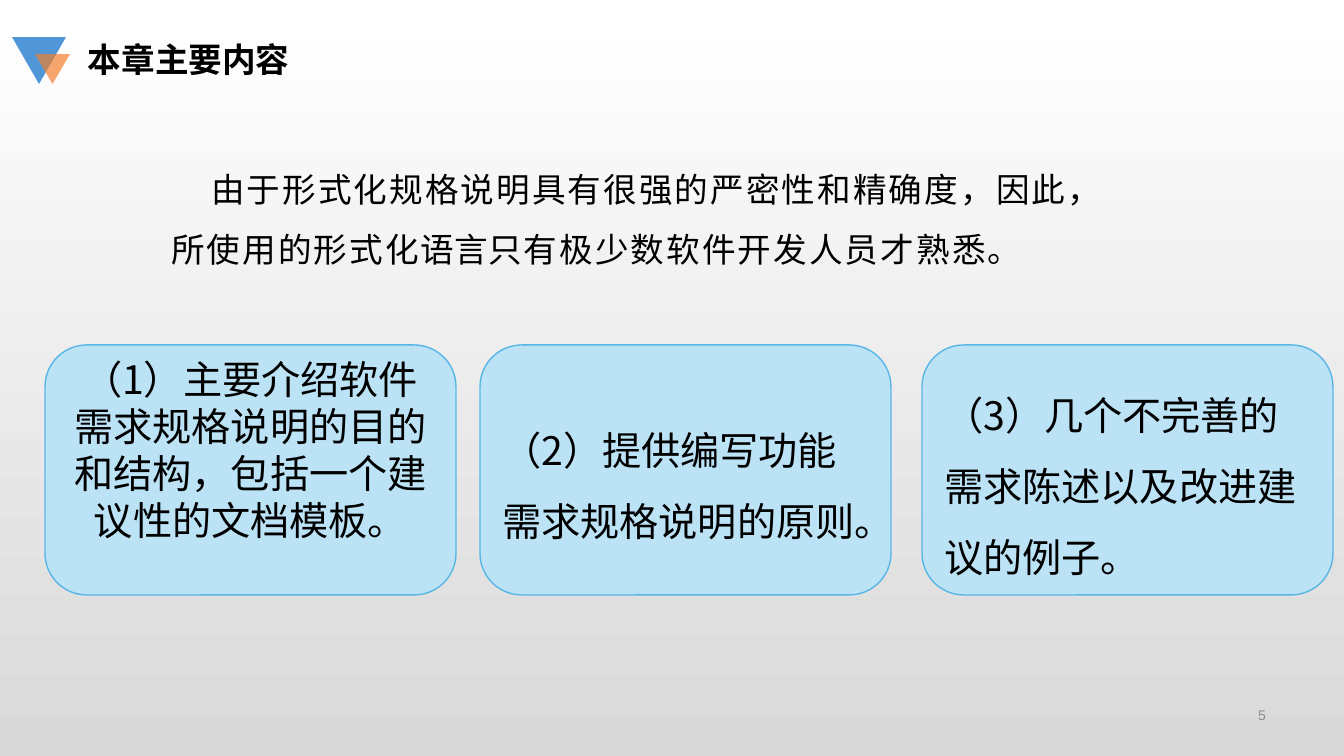
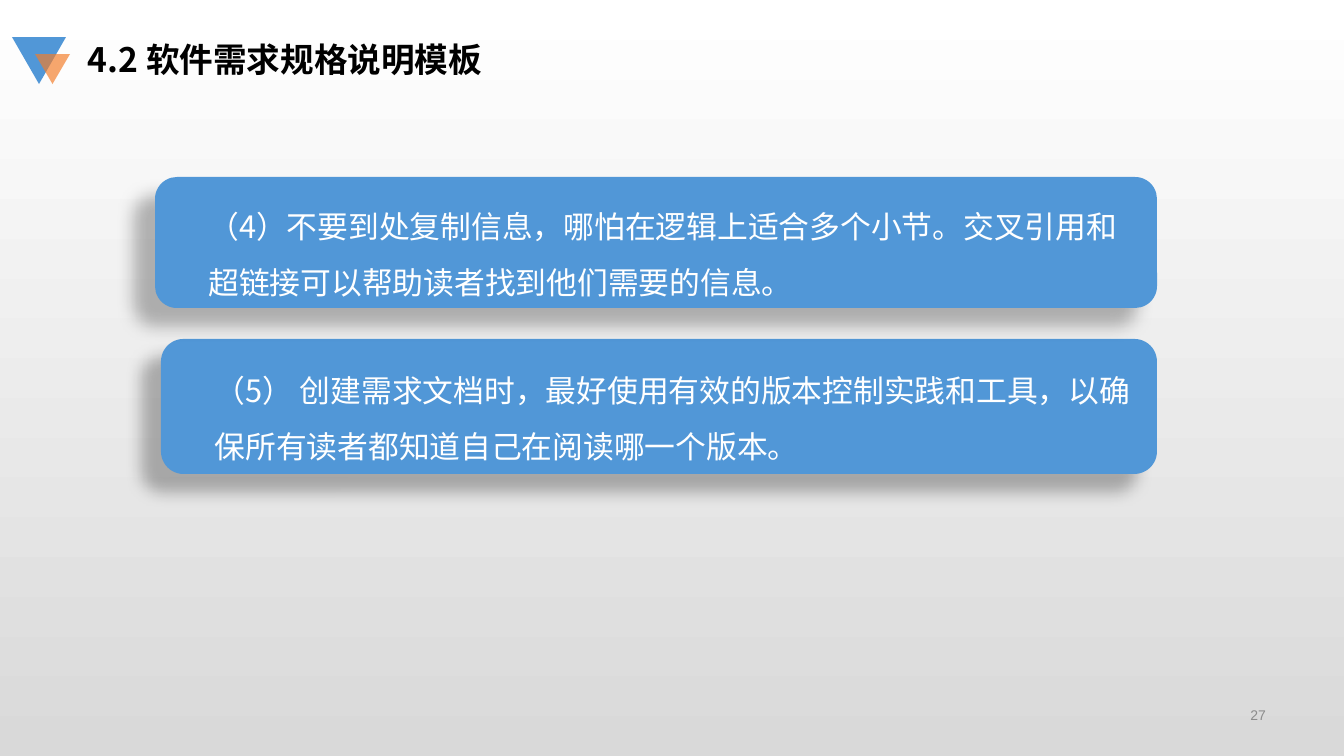
from dataclasses import dataclass

import pptx
import pptx.dml.color
import pptx.enum.lang
import pptx.enum.shapes
import pptx.enum.text
import pptx.oxml
import pptx.oxml.ns
import pptx.util

SHAPE = pptx.enum.shapes.MSO_SHAPE
ALIGN = pptx.enum.text.PP_ALIGN
ANCHOR = pptx.enum.text.MSO_ANCHOR
TITLE_AND_BODY, TITLE_ONLY = 1, 5


# Colours, fonts, type sizes (pt) and line pitches (px)
@dataclass(frozen=True)
class Theme:
    font: str = "Noto Sans CJK SC"
    number_font: str = "Arial"
    ink: str = "000000"
    white: str = "FFFFFF"
    page_end: str = "D9D9D9"
    muted: str = "8C8C8C"
    blue: str = "5197D7"
    orange: str = "F37D2A"
    card: str = "BCE2F5"
    card_line: str = "58B6E5"
    title_size: int = 24
    body_size: int = 24
    card_size: int = 28
    banner_size: int = 22
    number_size: int = 10
    body_pitch: int = 60
    card_pitch: int = 71
    card_tight_pitch: int = 47
    banner_pitch: int = 56


THEME = Theme()


def px(length):
    return pptx.util.Emu(round(length * 914400 / 100.8))


def rgb(code):
    return pptx.dml.color.RGBColor.from_string(code)


def xml(markup):
    """Parse one DrawingML element, adding the namespace to its first tag."""
    name, rest = markup[1:].split(" ", 1)
    return pptx.oxml.parse_xml(f"<{name} {pptx.oxml.ns.nsdecls('a')} {rest}")


# Text
def add_span(para, text, size, color, font=THEME.font, bold=False, spacing=0):
    span = para.add_run()
    span.text = text
    span.font.size = pptx.util.Pt(size)
    span.font.name = font
    span.font.bold = bold
    span.font.color.rgb = rgb(color)
    span.font.language_id = pptx.enum.lang.MSO_LANGUAGE_ID.SIMPLIFIED_CHINESE
    properties = span.font._element
    properties.find(pptx.oxml.ns.qn("a:latin")).addnext(
        xml(f'<a:ea typeface="{font}"/>'))
    if spacing:
        properties.set("spc", str(round(spacing * 100)))


def prepare_text(box, align=ALIGN.LEFT, anchor=ANCHOR.MIDDLE, pitch=None,
                 top=5, bottom=5, margin=0, indent=0):
    """Set up the frame of a box and return its first paragraph."""
    frame = box.text_frame
    frame.word_wrap = True
    frame.auto_size = pptx.enum.text.MSO_AUTO_SIZE.NONE
    frame.vertical_anchor = anchor
    frame.margin_left = frame.margin_right = px(10)
    frame.margin_top, frame.margin_bottom = px(top), px(bottom)
    para = frame.paragraphs[0]
    properties = para._p.get_or_add_pPr()
    properties.append(xml('<a:buNone />'))
    properties.set("marL", str(px(margin)))
    properties.set("indent", str(px(indent)))
    para.alignment = align
    para.space_before = pptx.util.Pt(0)
    if pitch:
        para.line_spacing = px(pitch)
    return para


def place(box, left, top, width, height):
    box.left, box.top = px(left), px(top)
    box.width, box.height = px(width), px(height)


# Shapes
def add_block(shapes, kind, area, fill, line=None):
    block = shapes.add_shape(kind, *map(px, area))
    block.shadow.inherit = False
    block.fill.solid()
    block.fill.fore_color.rgb = rgb(fill)
    if line:
        block.line.color.rgb = rgb(line)
        block.line.width = pptx.util.Pt(1)
    else:
        block.line.fill.background()
    return block


def add_emblem(page):
    group = page.shapes.add_group_shape()
    for area, fill in (((12, 37, 54, 47), THEME.blue),
                       ((35, 54, 35, 30), THEME.orange)):
        triangle = add_block(group.shapes, SHAPE.ISOSCELES_TRIANGLE, area, fill)
        triangle.rotation = 180
    color = triangle.fill._xPr.find(".//" + pptx.oxml.ns.qn("a:srgbClr"))
    color.append(xml('<a:alpha val="68000"/>'))


def cast_shadow(block):
    effects = block._element.spPr.find(pptx.oxml.ns.qn("a:effectLst"))
    effects.append(xml(
        f'<a:outerShdw blurRad="{pptx.util.Pt(11.8)}" '
        f'dist="{pptx.util.Pt(19.7)}" dir="{141 * 60000}" algn="tr" '
        f'rotWithShape="0"><a:srgbClr val="{THEME.ink}">'
        '<a:alpha val="28000"/></a:srgbClr></a:outerShdw>'))


def add_card(page, left, text, **layout):
    card = add_block(page.shapes, SHAPE.ROUNDED_RECTANGLE,
                     (left, 345, 411, 250), THEME.card, THEME.card_line)
    add_span(prepare_text(card, **layout), text, THEME.card_size, THEME.ink)


def add_banner(page, area, text):
    banner = add_block(page.shapes, SHAPE.ROUNDED_RECTANGLE, area, THEME.blue)
    cast_shadow(banner)
    para = prepare_text(banner, pitch=THEME.banner_pitch, top=10, margin=37)
    add_span(para, text, THEME.banner_size, THEME.white)


# Shared page parts
def style_master(deck):
    fill = deck.slide_master.background.fill
    fill.gradient()
    fill.gradient_angle = 270
    for stop, color in zip(fill.gradient_stops, (THEME.white, THEME.page_end)):
        stop.color.rgb = rgb(color)


def add_page(deck, layout, title, number):
    page = deck.slides.add_slide(deck.slide_layouts[layout])
    place(page.shapes.title, 78, 34, 974, 50)
    add_span(prepare_text(page.shapes.title, top=0, bottom=0), title,
             THEME.title_size, THEME.ink, bold=True)
    add_emblem(page)
    box = page.shapes.add_textbox(*map(px, (979, 697, 297, 35)))
    add_span(prepare_text(box, align=ALIGN.RIGHT), number,
             THEME.number_size, THEME.muted, font=THEME.number_font)
    return page


# Pages
def build_contents(deck):
    page = add_page(deck, TITLE_AND_BODY, "本章主要内容", "5")
    body = page.placeholders[1]
    place(body, 161, 140, 981, 224)
    para = prepare_text(body, anchor=ANCHOR.TOP, pitch=THEME.body_pitch,
                        top=9, indent=40)
    for text, spacing in (
            ("由于形式化规格说明具有很强的严密性和精确度，因此，所使用的形式化", 1.5),
            ("语言", 0),
            ("只有极少数软件开发人员才熟悉。", 1.5)):
        add_span(para, text, THEME.body_size, THEME.ink, spacing=spacing)

    add_card(page, 45, "（1）主要介绍软件需求规格说明的目的和结构，包括一个建议性的文档模板。",
             align=ALIGN.CENTER, pitch=THEME.card_tight_pitch, bottom=46)
    for left, text in ((480, "（2）提供编写功能需求规格说明的原则。"),
                       (922, "（3）几个不完善的需求陈述以及改进建议的例子。")):
        add_card(page, left, text, pitch=THEME.card_pitch, top=12)


def build_template_advice(deck):
    page = add_page(deck, TITLE_ONLY, "4.2 软件需求规格说明模板", "27")
    add_banner(page, (161, 339, 996, 135),
               "（5） 创建需求文档时，最好使用有效的版本控制实践和工具，"
               "以确保所有读者都知道自己在阅读哪一个版本。")
    add_banner(page, (155, 177, 1002, 131),
               "（4）不要到处复制信息，哪怕在逻辑上适合多个小节。"
               "交叉引用和超链接可以帮助读者找到他们需要的信息。")


def main():
    deck = pptx.Presentation()
    deck.slide_width, deck.slide_height = px(1344), px(756)
    style_master(deck)
    build_contents(deck)
    build_template_advice(deck)
    deck.save("out.pptx")


if __name__ == "__main__":
    main()
